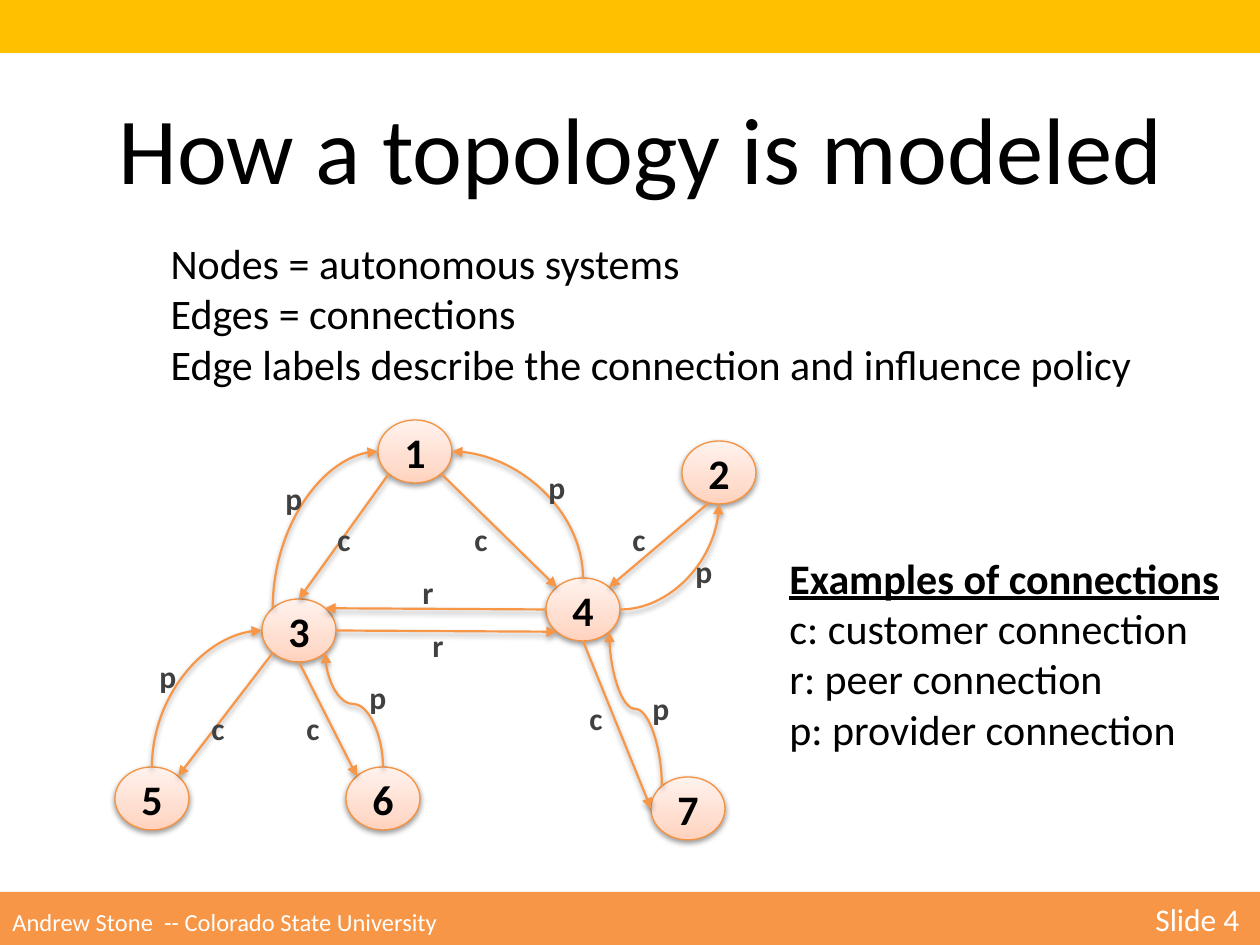
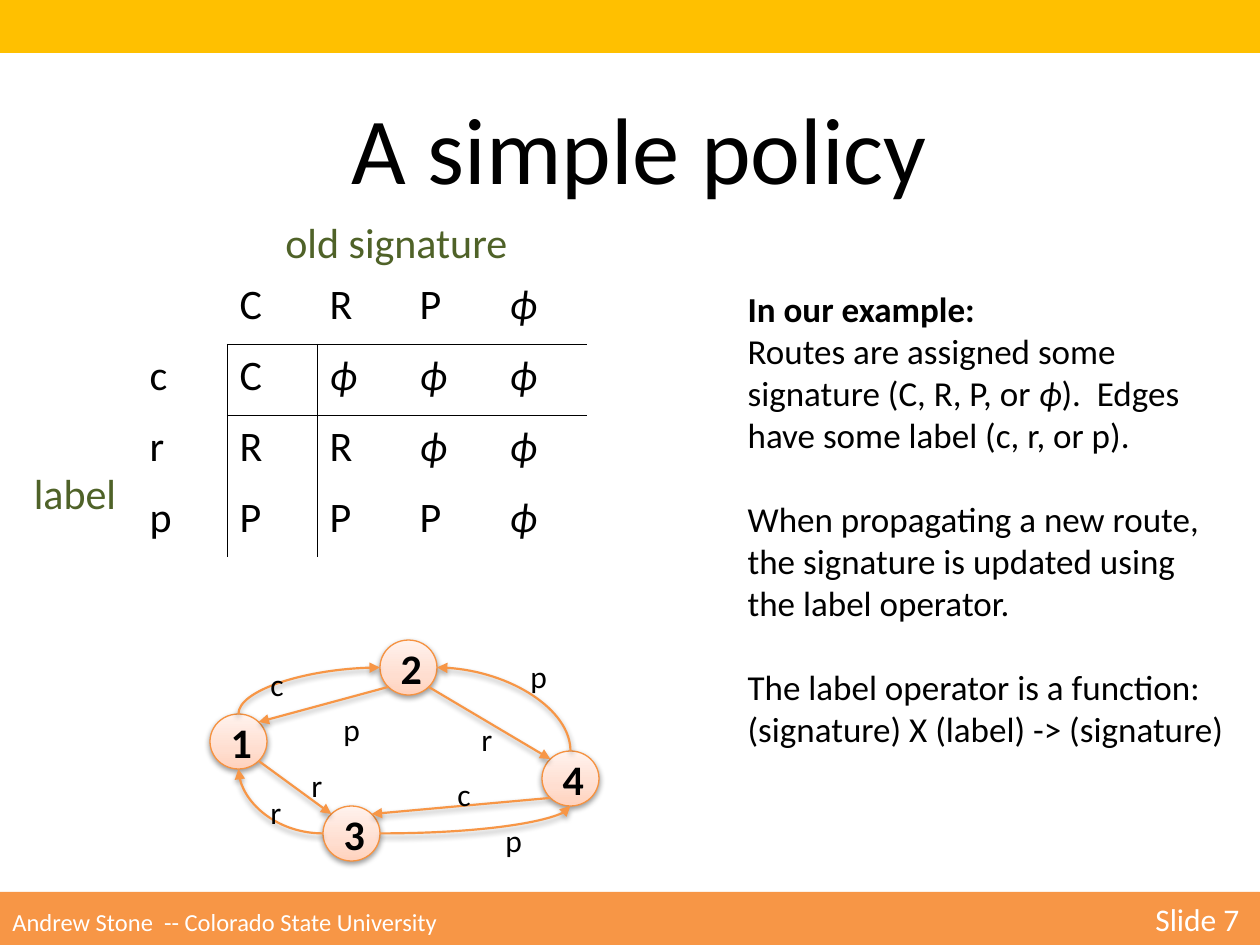
from dataclasses import dataclass
from math import cos, radians, sin

from pptx import Presentation
from pptx.dml.color import RGBColor
from pptx.enum.shapes import MSO_CONNECTOR, MSO_SHAPE
from pptx.enum.text import MSO_ANCHOR, MSO_AUTO_SIZE, PP_ALIGN
from pptx.oxml import parse_xml
from pptx.oxml.ns import nsdecls, qn
from pptx.util import Emu, Pt

STRAIGHT, CURVE = MSO_CONNECTOR.STRAIGHT, MSO_CONNECTOR.CURVE
RECTANGLE, OVAL = MSO_SHAPE.RECTANGLE, MSO_SHAPE.OVAL
LEFT, CENTER = PP_ALIGN.LEFT, PP_ALIGN.CENTER
TOP, MIDDLE = MSO_ANCHOR.TOP, MSO_ANCHOR.MIDDLE
NO_FIT, GROW = MSO_AUTO_SIZE.NONE, MSO_AUTO_SIZE.SHAPE_TO_FIT_TEXT
EMU_PER_PIXEL = 914400 / 126
PAGE_WIDTH, PAGE_HEIGHT, BAND_HEIGHT = 1260, 945, 53
FOOTER = "Andrew Stone  -- Colorado State University \t"
FOOTER_TAB = 1143
NO_TABLE_STYLE = "{2D5ABB26-0587-4C30-8999-92F81FD0307C}"
E, SE, S, SSW, SW, W, NW, N, NE = 0, 45, 90, 106, 135, 180, 225, 270, 315


@dataclass(frozen=True)
class Theme:
    font: str = "Calibri"
    text: str = "000000"
    top_band: str = "FFC000"
    bottom_band: str = "F79646"
    on_band: str = "FFFFFF"
    edge: str = "F79646"
    node_line: str = "F69240"
    node_stops: tuple = ((0, "FFD2BD"), (35, "FFDED0"), (100, "FFF2ED"))
    dark_label: str = "404040"
    heading: str = "4F6228"
    title_size: int = 54
    large: int = 24
    medium: int = 20
    small: int = 18
    footer_size: int = 14


THEME = Theme()


@dataclass(frozen=True)
class Graph:
    node_size: tuple
    nodes: dict
    straight: list
    quarter: list
    s_curves: list
    labels: list
    label_widths: dict
    label_height: int
    label_color: str
    label_bold: bool


TOPOLOGY = Graph(
    node_size=(74, 63),
    nodes={1: (378, 420), 4: (546, 578), 3: (262, 599), 6: (346, 767),
           2: (682, 441), 5: (115, 767), 7: (651, 777)},
    straight=[(1, SE, 4, NW), (1, SW, 3, N), (3, SW, 5, NE), (3, S, 6, NW),
              (4, S, 7, W), (2, SSW, 4, NE), (4, W, 3, NE), (3, E, 4, SW)],
    quarter=[(4, N, 1, E), (3, NW, 1, W), (4, E, 2, S), (5, N, 3, W)],
    s_curves=[(7, NW, 4, SE, 50), (6, N, 3, SE, 55)],
    labels=[("p", 147, 651), ("p", 273, 473), ("p", 357, 672), ("p", 536, 462),
            ("p", 640, 683), ("p", 683, 546), ("c", 325, 514), ("c", 462, 514),
            ("c", 620, 514), ("c", 577, 693), ("c", 294, 703), ("c", 199, 703),
            ("r", 410, 567), ("r", 420, 620)],
    label_widths={"p": 43, "c": 39, "r": 37},
    label_height=50, label_color=THEME.dark_label, label_bold=True)

POLICY = Graph(
    node_size=(57, 55),
    nodes={3: (323, 806), 1: (210, 714), 2: (380, 640), 4: (542, 751)},
    straight=[(2, SW, 1, NE), (1, SE, 3, NW), (2, SE, 4, NW), (4, SW, 3, NE)],
    quarter=[(1, N, 2, W), (3, W, 1, S), (3, E, 4, S), (4, N, 2, E)],
    s_curves=[],
    labels=[("c", 258, 659), ("r", 258, 787), ("p", 493, 815), ("p", 518, 651),
            ("p", 331, 704), ("r", 469, 714), ("r", 299, 760), ("c", 445, 769)],
    label_widths={"p": 33, "c": 30, "r": 28},
    label_height=44, label_color=THEME.text, label_bold=False)


def px(*lengths):
    return [Emu(round(length * EMU_PER_PIXEL)) for length in lengths]


def rgb(color):
    return RGBColor.from_string(color)


def xml(markup):
    head, rest = markup.split(">", 1)
    closing = "/" if head.endswith("/") else ""
    return parse_xml(f"{head.rstrip('/')} {nsdecls('a')}{closing}>{rest}")


def style_span(span, size, color=THEME.text, bold=False, italic=False, underline=False):
    font = span.font
    font.name, font.size, font.color.rgb = THEME.font, Pt(size), rgb(color)
    font.bold, font.italic, font.underline = bold, italic, underline


def style_text(frame, size, align=LEFT, **look):
    for para in frame.paragraphs:
        para.alignment = align
        for span in para.runs:
            style_span(span, size, **look)


def add_text(shapes, area, text, size, align=LEFT, **look):
    box = shapes.add_textbox(*px(*area))
    frame = box.text_frame
    frame.text = text
    frame.word_wrap, frame.auto_size = False, GROW
    style_text(frame, size, align, **look)
    return frame


def fill_placeholder(box, area, text, size, wrap=False, align=LEFT, anchor=TOP):
    box.left, box.top, box.width, box.height = px(*area)
    frame = box.text_frame
    frame.text = text
    frame.word_wrap, frame.auto_size, frame.vertical_anchor = wrap, NO_FIT, anchor
    style_text(frame, size, align)
    for para in frame.paragraphs:
        para.space_before = Pt(0)
        properties = para._p.get_or_add_pPr()
        properties.set("marL", "0")
        properties.set("indent", "0")
        properties.append(xml("<a:buNone/>"))
    return frame


def add_band(page, top, color):
    band = page.shapes.add_shape(RECTANGLE, *px(0, top, PAGE_WIDTH, BAND_HEIGHT))
    band.shadow.inherit = False
    band.fill.solid()
    band.fill.fore_color.rgb = rgb(color)
    band.line.fill.background()
    return band


def add_page(deck, title, title_area, number):
    page = deck.slides.add_slide(deck.slide_layouts[1])
    add_band(page, 0, THEME.top_band)
    fill_placeholder(page.shapes.title, title_area, title, THEME.title_size,
                     align=CENTER, anchor=MIDDLE)
    frame = add_band(page, PAGE_HEIGHT - BAND_HEIGHT, THEME.bottom_band).text_frame
    frame.text = FOOTER
    frame.vertical_anchor = MIDDLE
    style_text(frame, THEME.footer_size, color=THEME.on_band)
    para = frame.paragraphs[0]
    span = para.add_run()
    span.text = f"Slide {number}"
    style_span(span, THEME.small, THEME.on_band)
    para._p.get_or_add_pPr().append(
        xml(f'<a:tabLst><a:tab pos="{px(FOOTER_TAB)[0]}" algn="l"/></a:tabLst>'))
    return page


def add_shadow(shape, distance, opacity):
    shape._element.spPr.append(xml(
        f'<a:effectLst><a:outerShdw blurRad="40000" dist="{distance}" dir="5400000" '
        f'rotWithShape="0"><a:srgbClr val="000000"><a:alpha val="{opacity}000"/>'
        '</a:srgbClr></a:outerShdw></a:effectLst>'))


def add_node(shapes, place, size, name):
    node = shapes.add_shape(OVAL, *px(*place, *size))
    node.fill.gradient()
    gradient = node._element.spPr.find(qn("a:gradFill"))
    stops = "".join(f'<a:gs pos="{position}000"><a:srgbClr val="{color}"/></a:gs>'
                    for position, color in THEME.node_stops)
    gradient.replace(gradient.find(qn("a:gsLst")), xml(f"<a:gsLst>{stops}</a:gsLst>"))
    gradient.find(qn("a:lin")).set("ang", "16200000")
    node.line.color.rgb, node.line.width = rgb(THEME.node_line), Pt(0.75)
    add_shadow(node, 20000, 38)
    node.text_frame.text = str(name)
    node.text_frame.vertical_anchor = MIDDLE
    style_text(node.text_frame, THEME.large, CENTER, bold=True)


def rim_point(graph, name, angle):
    (left, top), (width, height) = graph.nodes[name], graph.node_size
    turn = radians(angle)
    return left + width / 2 * (1 + cos(turn)), top + height / 2 * (1 + sin(turn))


def add_edge(shapes, kind, start, end, arrow="tailEnd"):
    edge = shapes.add_connector(kind, *px(*start, *end))
    edge.line.color.rgb, edge.line.width = rgb(THEME.edge), Pt(1.25)
    edge._element.spPr.find(qn("a:ln")).append(xml(f'<a:{arrow} type="triangle"/>'))
    add_shadow(edge, 23000, 35)
    return edge


def add_quarter_curve(shapes, start, end, starts_level):
    if starts_level:
        edge = add_edge(shapes, CURVE, start, end)
    else:
        edge = add_edge(shapes, CURVE, end, start, "headEnd")
    edge._element.spPr.find(qn("a:prstGeom")).set("prst", "curvedConnector2")


def add_s_curve(shapes, start, end, bend):
    middle_x, middle_y = (start[0] + end[0]) / 2, (start[1] + end[1]) / 2
    turned = [(middle_x - (y - middle_y), middle_y + (x - middle_x)) for x, y in (start, end)]
    properties = add_edge(shapes, CURVE, *turned)._element.spPr
    properties.find(qn("a:xfrm")).set("rot", "16200000")
    geometry = properties.find(qn("a:prstGeom"))
    for guides in geometry.findall(qn("a:avLst")):
        geometry.remove(guides)
    geometry.append(xml(f'<a:avLst><a:gd name="adj1" fmla="val {bend}000"/></a:avLst>'))


def draw_graph(shapes, graph):
    for name, place in graph.nodes.items():
        add_node(shapes, place, graph.node_size, name)
    for source, leave, target, arrive in graph.straight:
        add_edge(shapes, STRAIGHT, rim_point(graph, source, leave),
                 rim_point(graph, target, arrive))
    for source, leave, target, arrive in graph.quarter:
        add_quarter_curve(shapes, rim_point(graph, source, leave),
                          rim_point(graph, target, arrive), leave in (E, W))
    for source, leave, target, arrive, bend in graph.s_curves:
        add_s_curve(shapes, rim_point(graph, source, leave),
                    rim_point(graph, target, arrive), bend)
    for text, left, top in graph.labels:
        area = (left, top, graph.label_widths[text], graph.label_height)
        add_text(shapes, area, text, THEME.small,
                 color=graph.label_color, bold=graph.label_bold)


def cell_borders(row, column):
    rules = (("lnL", column == 1 and row > 0), ("lnR", column == 0 and row > 0),
             ("lnT", row == 1 and column > 0), ("lnB", row == 0 and column > 0))
    return [side for side, drawn in rules if drawn]


def add_policy_table(page, left, top, column_width, row_height, rows):
    width, height = column_width * len(rows[0]), row_height * len(rows)
    table = page.shapes.add_table(len(rows), len(rows[0]),
                                  *px(left, top, width, height)).table
    table.first_row = table.horz_banding = False
    table._tbl.tblPr.find(qn("a:tableStyleId")).text = NO_TABLE_STYLE
    for row, values in enumerate(rows):
        for column, value in enumerate(values):
            cell = table.cell(row, column)
            cell.text = value
            cell.fill.background()
            style_text(cell.text_frame, THEME.large, italic=value == "ϕ")
            for index, side in enumerate(cell_borders(row, column)):
                cell._tc.tcPr.insert(index, xml(
                    f'<a:{side} w="3175"><a:solidFill><a:srgbClr val="{THEME.text}"/>'
                    f'</a:solidFill></a:{side}>'))


def build_topology_page(deck):
    page = add_page(deck, "How a topology is modeled", (100, 83, 1081, 127), 4)
    fill_placeholder(page.placeholders[1], (158, 231, 997, 165),
                     "Nodes = autonomous systems\nEdges = connections\n"
                     "Edge labels describe the connection and influence policy",
                     THEME.large)
    draw_graph(page.shapes, TOPOLOGY)
    frame = add_text(page.shapes, (777, 546, 460, 217),
                     "Examples of connections\nc: customer connection\n"
                     "r: peer connection\np: provider connection", THEME.large)
    style_span(frame.paragraphs[0].runs[0], THEME.large, bold=True, underline=True)


def build_policy_page(deck):
    page = add_page(deck, "A simple policy", (336, 83, 607, 127), 7)
    frame = fill_placeholder(
        page.placeholders[1], (735, 281, 504, 479),
        "In our example:\nRoutes are assigned some signature (C, R, P, or \n"
        "When propagating a new route, the signature is updated using the label operator.\n"
        "The label operator is a function: (signature) X (label) -> (signature)",
        THEME.medium, wrap=True)
    heading, routes, *rest = frame.paragraphs
    heading.runs[0].font.bold = True
    for text, italic in (("ϕ", True), (").  Edges have some label (c, r, or p).", False)):
        span = routes.add_run()
        span.text = text
        style_span(span, THEME.medium, italic=italic)
    for para in rest:
        para.space_before = Pt(24)
    add_policy_table(page, 137, 273, 90, 71,
                     [" CRPϕ".replace(" ", "-"), "cCϕϕϕ", "rRRϕϕ", "pPPPϕ"]
                     and [["", *"CRPϕ"], [*"cCϕϕϕ"], [*"rRRϕϕ"], [*"pPPPϕ"]])
    add_text(page.shapes, (273, 210, 249, 63), "old signature", THEME.large,
             color=THEME.heading)
    add_text(page.shapes, (21, 461, 108, 63), "label", THEME.large, CENTER,
             color=THEME.heading)
    draw_graph(page.shapes.add_group_shape().shapes, POLICY)


def main():
    deck = Presentation()
    deck.slide_width, deck.slide_height = px(PAGE_WIDTH, PAGE_HEIGHT)
    build_topology_page(deck)
    build_policy_page(deck)
    deck.save("out.pptx")


main()
